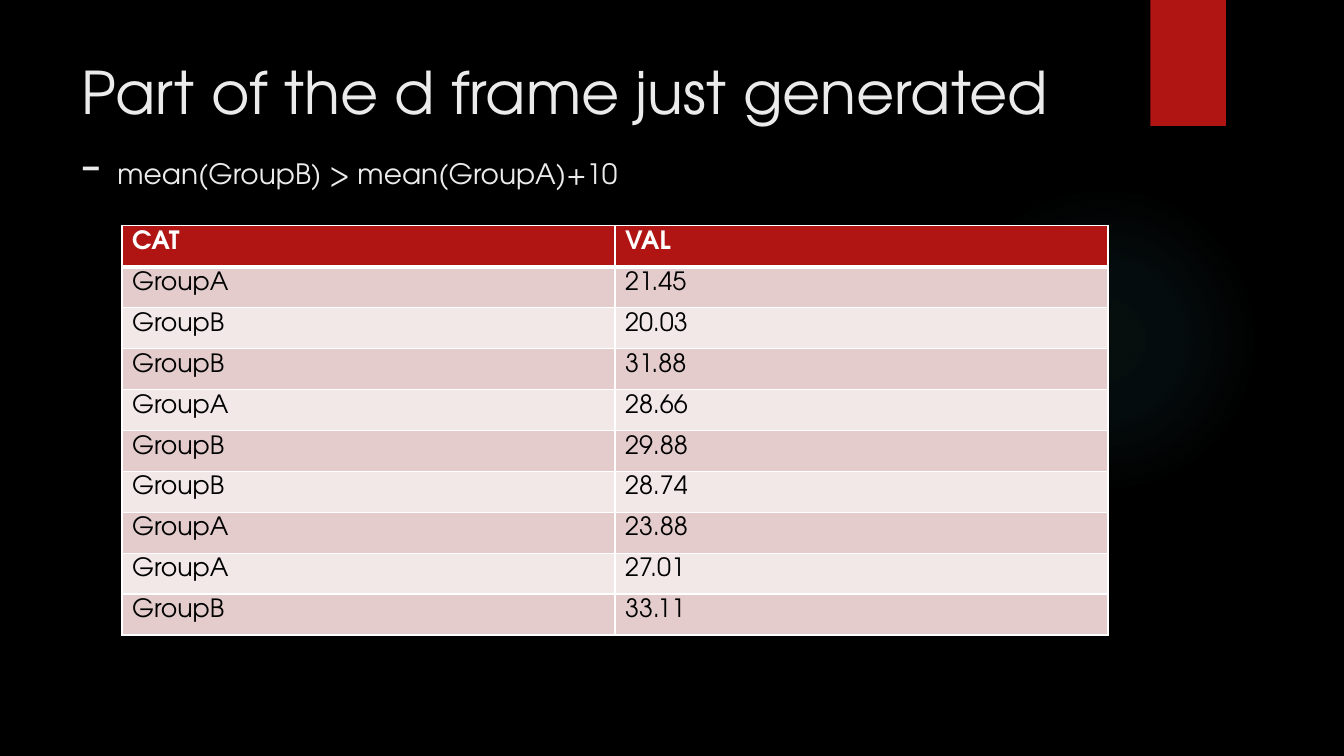
from dataclasses import dataclass

from lxml import etree
from pptx import Presentation
from pptx.dml.color import RGBColor
from pptx.enum import shapes, text
from pptx.oxml import parse_xml
from pptx.oxml.ns import nsdecls, qn
from pptx.util import Inches, Pt


@dataclass(frozen=True)
class Theme:
    font: str = "TeX Gyre Adventor"
    back: str = "000000"
    red: str = "B01513"
    glow: str = "50B9C1"
    title: str = "EBEBEB"
    white: str = "FFFFFF"
    black: str = "000000"
    bands: tuple = ("E4CCCC", "F2E8E7")
    big: int = 42
    mid: int = 20
    small: int = 18


THEME = Theme()

ROWS = [
    ("CAT", "VAL"),
    ("GroupA", "21.45"),
    ("GroupB", "20.03"),
    ("GroupB", "31.88"),
    ("GroupA", "28.66"),
    ("GroupB", "29.88"),
    ("GroupB", "28.74"),
    ("GroupA", "23.88"),
    ("GroupA", "27.01"),
    ("GroupB", "33.11"),
]


def rgb(code):
    return RGBColor.from_string(code)


def paint(fill, code):
    fill.solid()
    fill.fore_color.rgb = rgb(code)


def style(font, size, code, bold=False):
    font.name = THEME.font
    font.size = Pt(size)
    font.bold = bold
    font.color.rgb = rgb(code)


def add_block(slide, kind, box, code):
    block = slide.shapes.add_shape(kind, *map(Inches, box))
    block.shadow.inherit = False
    paint(block.fill, code)
    block.line.fill.background()
    return block


def add_glow(slide, box):
    glow = add_block(slide, shapes.MSO_SHAPE.OVAL, box, THEME.glow)
    stops = "".join(
        f'<a:gs pos="{pos * 1000}"><a:srgbClr val="{THEME.glow}">'
        f'<a:alpha val="{alpha * 1000}"/></a:srgbClr></a:gs>'
        for pos, alpha in ((0, 7), (36, 6), (69, 0))
    )
    grad = parse_xml(
        f'<a:gradFill {nsdecls("a")}><a:gsLst>{stops}</a:gsLst>'
        '<a:path path="circle"><a:fillToRect l="50000" t="50000" '
        'r="50000" b="50000"/></a:path></a:gradFill>'
    )
    props = glow.element.spPr
    props.replace(props.find(qn("a:solidFill")), grad)


def add_tab(slide, box):
    tab = add_block(slide, shapes.MSO_SHAPE.RECTANGLE, box, THEME.red)
    tab.element.spPr.find(qn("a:effectLst")).append(parse_xml(
        f'<a:outerShdw {nsdecls("a")} blurRad="{Pt(3)}" dist="{Pt(2)}" '
        f'dir="5400000" rotWithShape="0"><a:srgbClr val="{THEME.black}">'
        '<a:alpha val="45000"/></a:srgbClr></a:outerShdw>'
    ))


def add_title(slide, box, head, note):
    frame = slide.shapes.add_textbox(*map(Inches, box)).text_frame
    frame.word_wrap = True
    frame.vertical_anchor = text.MSO_ANCHOR.TOP
    para = frame.paragraphs[0]
    style(para.font, THEME.big, THEME.title)
    para.add_run().text = head
    para.add_line_break()
    para.add_run().text = "- "
    run = para.add_run()
    run.text = note
    run.font.size = Pt(THEME.mid)


def add_edges(cell, base):
    props = cell._tc.get_or_add_tcPr()
    widths = {"lnL": 1, "lnR": 1, "lnT": 1, "lnB": base}
    for spot, (side, width) in enumerate(widths.items()):
        edge = etree.Element(qn(f"a:{side}"), w=str(Pt(width)))
        fill = etree.SubElement(edge, qn("a:solidFill"))
        etree.SubElement(fill, qn("a:srgbClr"), val=THEME.white)
        props.insert(spot, edge)


def add_grid(slide, box, rows):
    frame = slide.shapes.add_table(len(rows), len(rows[0]), *map(Inches, box))
    for i, row in enumerate(rows):
        top = i == 0
        for j, word in enumerate(row):
            cell = frame.table.cell(i, j)
            cell.text = word
            ink = THEME.white if top else THEME.black
            style(cell.text_frame.paragraphs[0].font, THEME.small, ink, top)
            paint(cell.fill, THEME.red if top else THEME.bands[(i - 1) % 2])
            add_edges(cell, 3 if top else 1)


def main():
    deck = Presentation()
    deck.slide_width, deck.slide_height = Inches(13.33), Inches(7.5)
    slide = deck.slides.add_slide(deck.slide_layouts[6])

    # Backdrop
    paint(slide.background.fill, THEME.back)
    add_glow(slide, (9.41, 1.83, 3.08, 3.08))
    add_tab(slide, (11.41, 0, 0.75, 1.25))

    # Title and data
    add_title(slide, (0.71, 0.5, 10.29, 1.53),
              "Part of the d frame just generated",
              "mean(GroupB) > mean(GroupA)+10")
    add_grid(slide, (1.21, 2.24, 9.78, 4.06), ROWS)

    deck.save("out.pptx")


if __name__ == "__main__":
    main()
